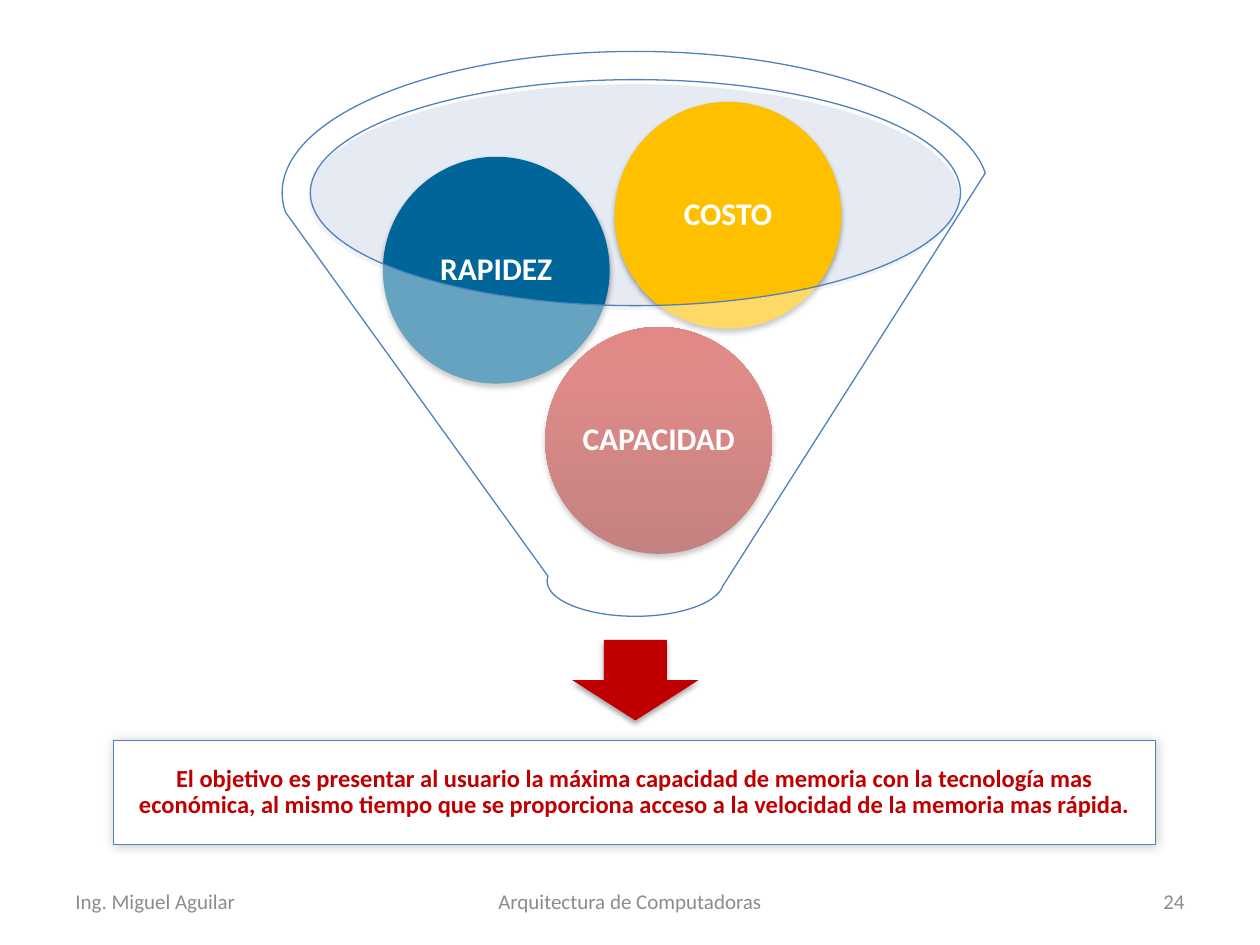
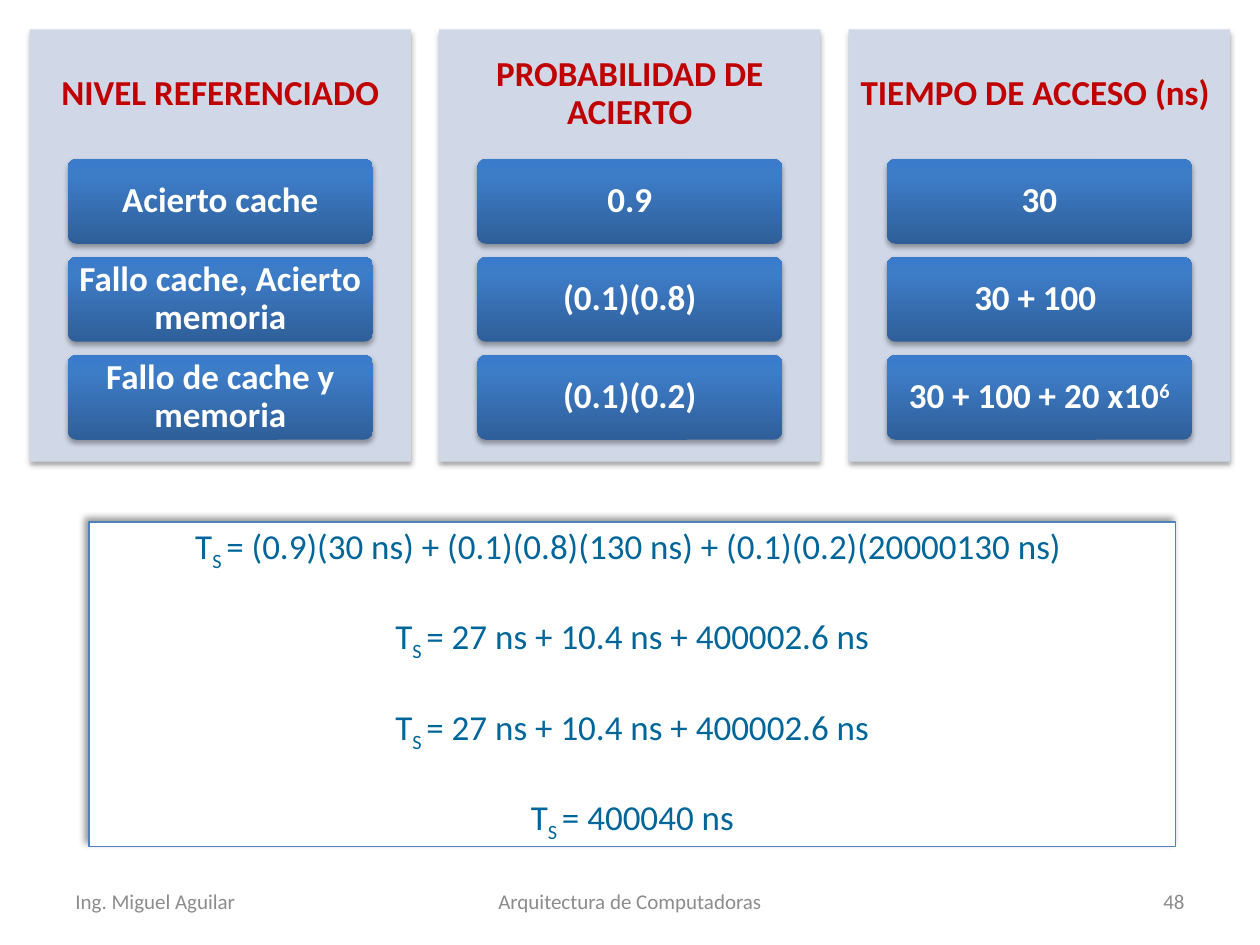
import copy
import pptx
import pptx.util
import pptx.dml.color
import pptx.enum.shapes
import pptx.enum.text
import pptx.oxml
import pptx.oxml.ns

Pt = pptx.util.Pt
FORM = pptx.enum.shapes.MSO_SHAPE
ALIGN = pptx.enum.text.PP_ALIGN
MIDDLE = pptx.enum.text.MSO_ANCHOR.MIDDLE
qn = pptx.oxml.ns.qn

HUES = {
    "white": "FFFFFF", "black": "000000", "gray": "8C8C8C", "line": "4F81BD",
    "red": "C00000", "teal": "006699", "gold": "FFC000", "pale": "D0D8E8",
    "mist": "C2CDE1",
}
# Gradient stops from bottom to top
BLUES = ((0, "2F5F99"), (0.8, "3D7CC7"), (1, "3A7CCB"))
ROSES = ((0, "9C2F2D"), (0.8, "CB3E3A"), (1, "CE3B37"))
# Shadows: opacity %, blur, distance, angle
SOFT = (35, 3.1, 1.8, 90)
GLOW = (20, 6, 0, 315)
BACK = (40, 4, 3, 225)

LABEL = {"name": "Calibri", "size": Pt(18), "bold": True}
HEAD = {**LABEL, "size": Pt(20)}
NOTE = {**LABEL, "size": Pt(14)}
MATH = {"name": "Calibri", "size": Pt(20), "bold": False}
FOOT = {**MATH, "size": Pt(12)}


def apply(thing, form):
    for key, value in form.items():
        setattr(thing, key, value)


def rgb(code):
    return pptx.dml.color.RGBColor.from_string(code)


def shade(part, kind):
    """Give a part an outer shadow."""
    alpha, blur, dist, angle = kind
    part.element.spPr.find(qn("a:effectLst")).append(pptx.oxml.parse_xml(
        f'<a:outerShdw {pptx.oxml.ns.nsdecls("a")} blurRad="{Pt(blur)}" '
        f'dist="{Pt(dist)}" dir="{angle * 60000}" rotWithShape="0">'
        f'<a:srgbClr val="{HUES["black"]}"><a:alpha val="{alpha * 1000}"/>'
        f'</a:srgbClr></a:outerShdw>'))


def blend(part, stops):
    """Fill a part with a three-stop upward gradient."""
    fill = part.fill
    fill.gradient()
    fill.gradient_angle = 90
    marks = part.element.spPr.find(qn("a:gradFill")).find(qn("a:gsLst"))
    marks.append(copy.deepcopy(marks[-1]))
    for mark, (place, code) in zip(fill.gradient_stops, stops):
        mark.position = place
        mark.color.rgb = rgb(code)


def draw(slide, form, box, fill, line=None, shadow=None, alpha=None):
    part = slide.shapes.add_shape(form, *map(Pt, box))
    part.shadow.inherit = False
    if isinstance(fill, tuple):
        blend(part, fill)
    else:
        part.fill.solid()
        part.fill.fore_color.rgb = rgb(HUES[fill])
    if alpha:
        tint = part.element.spPr.find(qn("a:solidFill"))[0]
        tint.append(pptx.oxml.parse_xml(
            f'<a:alpha {pptx.oxml.ns.nsdecls("a")} val="{alpha * 1000}"/>'))
    if line:
        part.line.color.rgb = rgb(HUES[line])
        part.line.width = Pt(0.75)
    else:
        part.line.fill.background()
    if shadow:
        shade(part, shadow)
    return part


def write(part, lines, font, hue, pad=(7.2, 3.6), align=ALIGN.CENTER,
          pitch=0.9, gap=0):
    """Write lines, each a list of (text, baseline %) runs."""
    frame = part.text_frame
    apply(frame, {
        "word_wrap": True, "vertical_anchor": MIDDLE,
        "margin_left": Pt(pad[0]), "margin_right": Pt(pad[0]),
        "margin_top": Pt(pad[1]), "margin_bottom": Pt(pad[1])})
    for i, runs in enumerate(lines):
        para = frame.add_paragraph() if i else frame.paragraphs[0]
        apply(para, {"alignment": align, "line_spacing": pitch,
                     "space_before": Pt(gap if i else 0)})
        for text, base in runs:
            run = para.add_run()
            run.text = text
            apply(run.font, font)
            run.font.color.rgb = rgb(HUES[hue])
            if base:
                run._r.get_or_add_rPr().set("baseline", str(base * 1000))


def plain(text):
    return [[(text, 0)]]


def label(slide, box, text, font, hue, **more):
    part = slide.shapes.add_textbox(*map(Pt, box))
    write(part, plain(text), font, hue, **more)


# Footer shared by both slides
def footer(slide, box, page):
    left, top, width, height = box
    cells = (
        (0, 168, "Ing. Miguel Aguilar", ALIGN.LEFT),
        (210, 228, "Arquitectura de Computadoras", ALIGN.CENTER),
        (width - 168, 168, str(page), ALIGN.RIGHT),
    )
    for x, wide, text, align in cells:
        label(slide, (left + x, top, wide, height), text, FOOT, "gray",
              align=align, pitch=1)


# Funnel with its three balls and the arrow below
def funnel(slide, box):
    left, top, width, height = box
    draw(slide, FORM.OVAL, (left + 15, top + 18.7, 372.2, 129), "mist",
         alpha=40)
    draw(slide, FORM.DOWN_ARROW,
         (left + width / 2 - 36, top + height + 13.5, 72, 46), "red",
         shadow=SOFT)
    balls = (
        ("CAPACIDAD", 150.4, 157.5, ROSES),
        ("RAPIDEZ", 57.6, 60.2, "teal"),
        ("COSTO", 190, 28.8, "gold"),
    )
    for text, x, y, fill in balls:
        ball = draw(slide, FORM.OVAL, (left + x, top + y, 129.6, 129.6), fill,
                    shadow=SOFT)
        write(ball, plain(text), LABEL, "white", pad=(2, 2))
    draw(slide, FORM.FUNNEL, box, "white", line="line", alpha=40)


# Boxed statement under the funnel
def goal(slide, box):
    part = draw(slide, FORM.RECTANGLE, box, "white", "line", GLOW)
    write(part, plain(
        "El objetivo es presentar al usuario la máxima capacidad de memoria "
        "con la tecnología mas económica, al mismo tiempo que se proporciona "
        "acceso a la velocidad de la memoria mas rápida."),
        NOTE, "red", pad=(8, 8))


# One panel: heading and a stack of cards
def panel(slide, box, head, cards):
    left, top, width, height = box
    draw(slide, FORM.RECTANGLE, box, "pale", shadow=SOFT)
    label(slide, (left, top, width, 0.3 * height), head, HEAD, "red",
          pad=(6, 6))
    for i, runs in enumerate(cards):
        spot = (left + 0.1 * width, top + 0.3 * height + 56 * i,
                0.8 * width, 48.4)
        card = draw(slide, FORM.ROUNDED_RECTANGLE, spot, BLUES, shadow=SOFT)
        card.adjustments[0] = 0.1
        write(card, [runs], HEAD, "white", pad=(4.2, 3.2))


# Boxed working of the mean access time
def working(slide, box):
    sums = (
        "= (0.9)(30 ns) + (0.1)(0.8)(130 ns) + (0.1)(0.2)(20000130 ns) ",
        "= 27 ns + 10.4 ns + 400002.6 ns",
        "= 27 ns + 10.4 ns + 400002.6 ns",
        "= 400040 ns",
    )
    part = draw(slide, FORM.RECTANGLE, box, "white", "line", BACK)
    write(part, [[("T", 0), ("S ", -25), (text, 0)] for text in sums],
          MATH, "teal", pitch=1, gap=24.4)


def main():
    deck = pptx.Presentation()
    deck.slide_width, deck.slide_height = Pt(720), Pt(540)
    blank = deck.slide_layouts[6]
    base = (36, 500.5, 648, 28.75)

    # Goal of the memory design
    slide = deck.slides.add_slide(blank)
    footer(slide, base, 24)
    funnel(slide, (161.2, 29.4, 403.8, 322.8))
    goal(slide, (65, 423.2, 595.4, 59.5))

    # Access time by level
    slide = deck.slides.add_slide(blank)
    footer(slide, base, 48)
    panels = (
        ("NIVEL REFERENCIADO", ([("Acierto cache", 0)],
                                [("Fallo cache, Acierto memoria", 0)],
                                [("Fallo de cache y memoria", 0)])),
        ("PROBABILIDAD DE ACIERTO", ([("0.9", 0)], [("(0.1)(0.8)", 0)],
                                     [("(0.1)(0.2)", 0)])),
        ("TIEMPO DE ACCESO (ns) ", ([("30", 0)], [("30 + 100 ", 0)],
                                    [("30 + 100 + 20 x10", 0), ("6", 30)])),
    )
    for i, (head, cards) in enumerate(panels):
        panel(slide, (17 + 234 * i, 16.8, 217.8, 247), head, cards)
    working(slide, (50.9, 298.2, 621, 185.4))

    deck.save("out.pptx")


if __name__ == "__main__":
    main()
